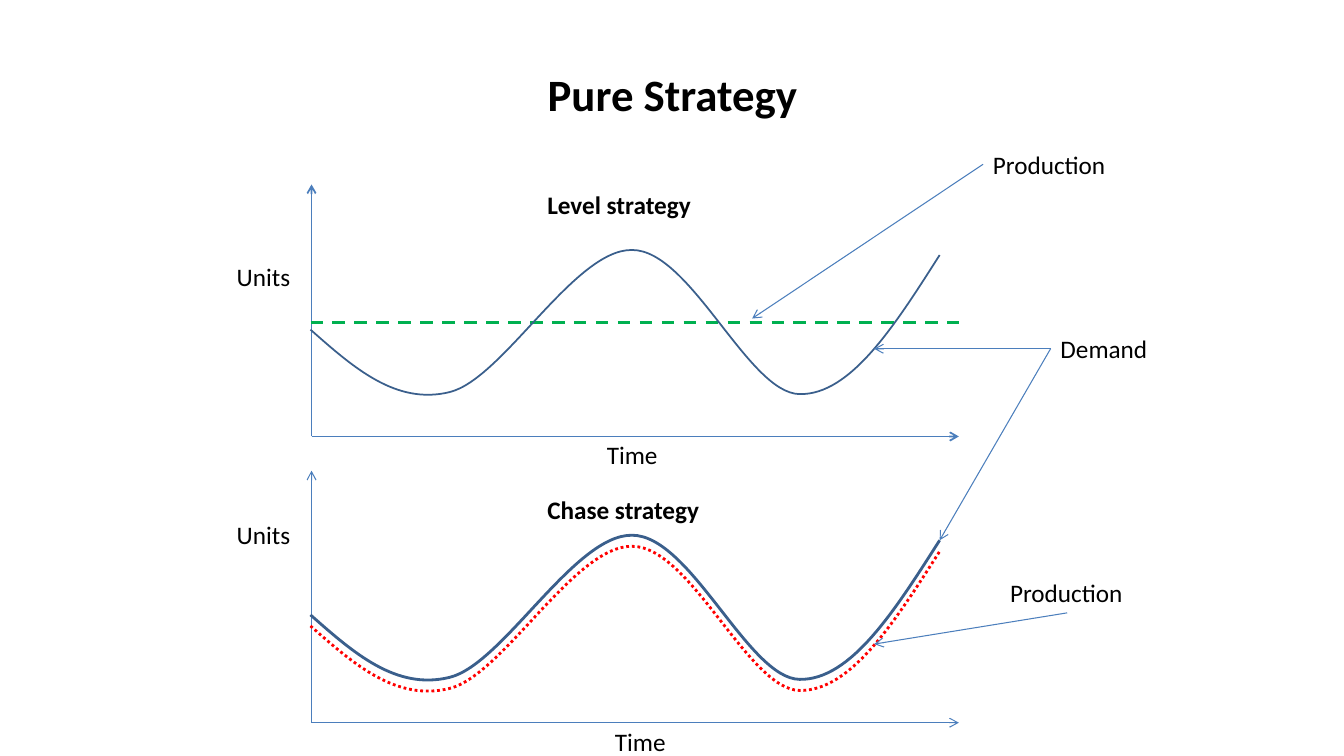
from lxml import etree
from pptx import Presentation
from pptx.dml.color import RGBColor
from pptx.enum.dml import MSO_LINE
from pptx.enum.shapes import MSO_CONNECTOR
from pptx.enum.text import MSO_ANCHOR, MSO_AUTO_SIZE, PP_ALIGN
from pptx.oxml.ns import qn
from pptx.util import Pt

PX = 9144  # EMU per px, 100 px to the inch
LEFT_SIDE, BOTTOM_SIDE = 1, 2
STRAIGHT = MSO_CONNECTOR.STRAIGHT
DASH, DOTS = MSO_LINE.DASH, MSO_LINE.ROUND_DOT
MIDDLE, CENTER = MSO_ANCHOR.MIDDLE, PP_ALIGN.CENTER
FIT_TEXT = MSO_AUTO_SIZE.SHAPE_TO_FIT_TEXT

BLACK = RGBColor(0x00, 0x00, 0x00)
BLUE = RGBColor(0x4B, 0x7E, 0xBC)
DARK_BLUE = RGBColor(0x3A, 0x5F, 0x8C)
GREEN = RGBColor(0x00, 0xB0, 0x50)
RED = RGBColor(0xFF, 0x00, 0x00)

presentation = Presentation()
presentation.slide_width = 1333 * PX
presentation.slide_height = 750 * PX
slide = presentation.slides.add_slide(presentation.slide_layouts[6])


def add_text(text, left, top, width, height=40, size=18, bold=False,
             align=None, anchor=None, wrap=False):
    box = slide.shapes.add_textbox(left * PX, top * PX, width * PX, height * PX)
    frame = box.text_frame
    frame.word_wrap = wrap
    if not wrap:
        frame.auto_size = FIT_TEXT
    frame.vertical_anchor = anchor
    paragraph = frame.paragraphs[0]
    paragraph.alignment = align
    run = paragraph.add_run()
    run.text = text
    run.font.name = "Calibri"
    run.font.size = Pt(size)
    run.font.bold = bold
    run.font.color.rgb = BLACK
    return box


def add_line(start, end, color=BLUE, width=0.75, dash=None, arrow=True):
    connector = slide.shapes.add_connector(
        STRAIGHT, start[0] * PX, start[1] * PX, end[0] * PX, end[1] * PX)
    connector.line.color.rgb = color
    connector.line.width = Pt(width)
    connector.line.dash_style = dash
    if arrow:
        outline = connector.line._get_or_add_ln()
        etree.SubElement(outline, qn("a:tailEnd"), type="arrow")
    etree.SubElement(connector._element.spPr, qn("a:effectLst"))
    return connector


add_text("Pure Strategy", 67, 30, 1200, 125, size=32, bold=True,
         align=CENTER, anchor=MIDDLE, wrap=True)

# Axes: origin height, axis top, line width
for origin, axis_top, width in ((433, 183, 1.25), (717, 467, 0.75)):
    add_line((309, origin), (309, axis_top), width=width)
    add_line((309, origin), (951, origin), width=width)
add_line((308, 320), (951, 320), GREEN, 2.25, DASH, arrow=False)

# Wave: a start point, then two control points and an end point per Bezier curve
WAVE_START = (308, 327)
WAVE = [
    (351, 365), (393, 402), (446, 389),
    (499, 376), (570, 247), (627, 248),
    (685, 248), (742, 390), (793, 391),
    (844, 392), (888, 322), (932, 253),
]
for drop, color, width, dash in ((0, DARK_BLUE, 1.25, None),
                                 (283, DARK_BLUE, 2, None),
                                 (294, RED, 2, DOTS)):
    builder = slide.shapes.build_freeform(WAVE_START[0], WAVE_START[1] + drop, scale=PX)
    builder.add_line_segments([(x, y + drop) for x, y in WAVE], close=False)
    wave = builder.convert_to_shape()
    segments = wave._element.xpath(".//a:lnTo")
    for first in range(0, len(segments), 3):
        curve = etree.Element(qn("a:cubicBezTo"))
        segments[first].addprevious(curve)
        for segment in segments[first:first + 3]:
            curve.append(segment[0])
            segment.getparent().remove(segment)
    wave.fill.background()
    wave.line.color.rgb = color
    wave.line.width = Pt(width)
    wave.line.dash_style = dash
    wave.shadow.inherit = False

add_text("Level strategy", 533, 183, 164, bold=True)
add_text("Chase strategy", 533, 485, 172, bold=True)
for text, left, top, width in (("Units", 225, 254, 74), ("Units", 225, 510, 74),
                               ("Time", 592, 431, 71), ("Time", 600, 716, 71)):
    add_text(text, left, top, width)

level_production = add_text("Production", 975, 143, 133)
demand = add_text("Demand", 1042, 326, 107)
chase_production = add_text("Production", 992, 568, 133)

for label, side, start, end in (
        (level_production, LEFT_SIDE, (975, 163), (746, 316)),
        (demand, LEFT_SIDE, (1042, 346), (867, 346)),
        (demand, LEFT_SIDE, (1042, 346), (932, 536)),
        (chase_production, BOTTOM_SIDE, (1058, 608), (867, 639))):
    add_line(start, end).begin_connect(label, side)

presentation.save("out.pptx")
